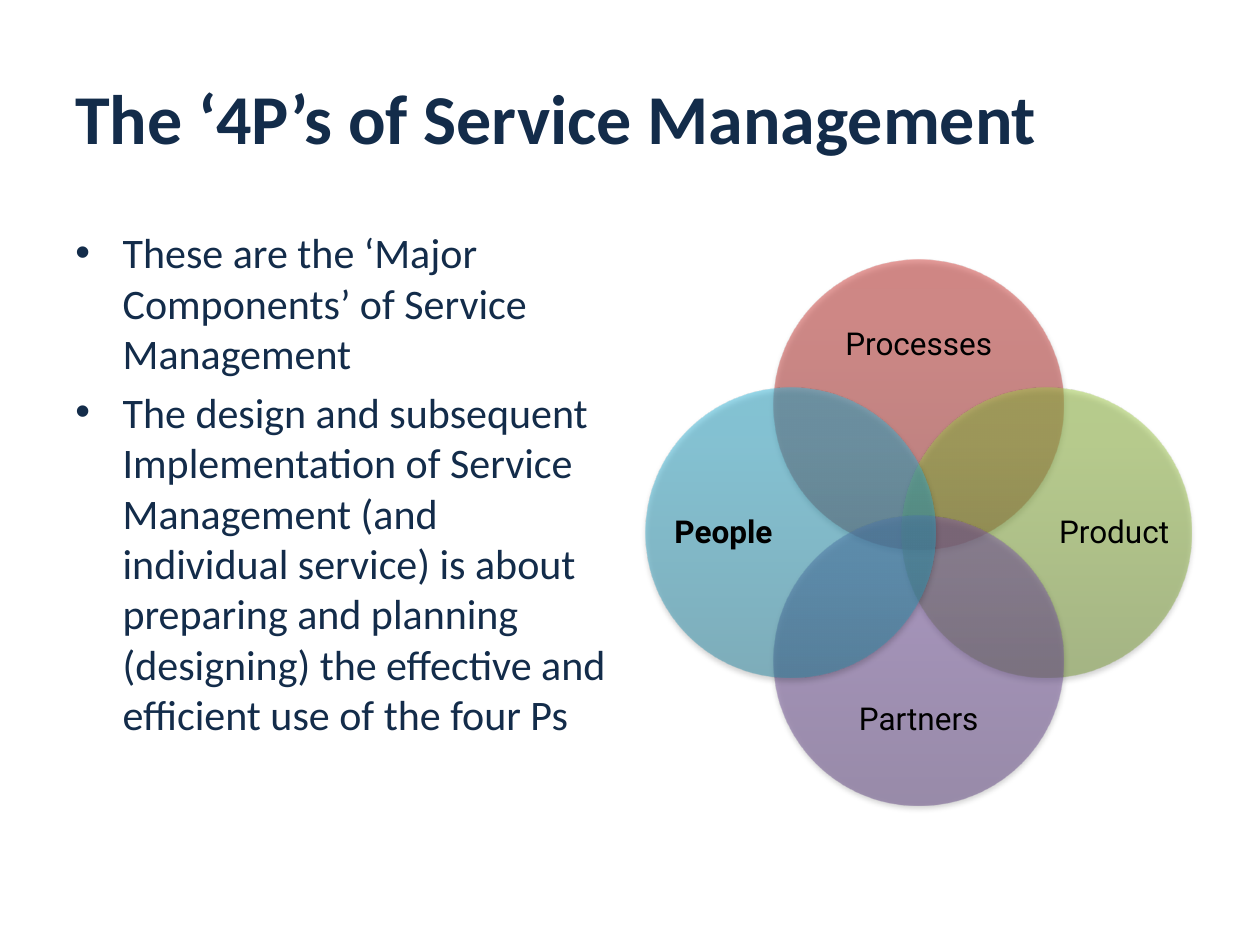
from dataclasses import dataclass

from pptx import Presentation
from pptx.dml.color import RGBColor
from pptx.enum.shapes import MSO_SHAPE as Shape
from pptx.enum.text import MSO_ANCHOR as Anchor, PP_ALIGN as Align
from pptx.oxml import parse_xml
from pptx.oxml.ns import nsdecls
from pptx.util import Pt


@dataclass(frozen=True)
class Theme:
    """Hold the colours, fonts and type sizes of the slide."""
    navy: str = "132C4A"
    black: str = "000000"
    red: tuple = ("9C2F2D", "CB3E3A", "CE3B37")
    green: tuple = ("779737", "9BC348", "9DC746")
    purple: tuple = ("5F4480", "7B58A6", "7C57A8")
    teal: tuple = ("2A88A2", "37B1D2", "34B4D6")
    text_font: str = "Calibri"
    label_font: str = "Roboto"
    title_size: int = 40
    body_size: int = 24
    label_size: int = 18


THEME = Theme()
BULLETS = (
    "These are the ‘Major Components’ of Service Management",
    "The design and subsequent Implementation of Service Management (and "
    "individual service) is about preparing and planning (designing) the "
    "effective and efficient use of the four Ps",
)
CENTER_X, CENTER_Y = 525, 304.5
CIRCLE_SIZE, CIRCLE_OFFSET = 165.6, 73
CIRCLES = (
    ("Processes", THEME.red, 0, -1, False),
    ("Product", THEME.green, 1, 0, False),
    ("Partners", THEME.purple, 0, 1, False),
    ("People", THEME.teal, -1, 0, True),
)


def apply_format(target, values):
    """Set each named attribute on the target."""
    for name, value in values.items():
        setattr(target, name, value)


def add_text(slide, box, lines, font, color, frame_format=None, paragraph_format=None):
    """Add a wrapped text box with one paragraph per line and return its paragraphs."""
    frame = slide.shapes.add_textbox(*map(Pt, box)).text_frame
    apply_format(frame, {"word_wrap": True, **(frame_format or {})})
    frame.text = "\n".join(lines)
    for paragraph in frame.paragraphs:
        apply_format(paragraph, paragraph_format or {})
        for run in paragraph.runs:
            apply_format(run.font, font)
            run.font.color.rgb = RGBColor.from_string(color)
    return frame.paragraphs


def add_title(slide, text):
    """Add the bold slide title."""
    font = {"name": THEME.text_font, "size": Pt(THEME.title_size), "bold": True}
    add_text(slide, (36, 21.6, 648, 90), [text], font, THEME.navy,
             {"vertical_anchor": Anchor.MIDDLE})


def add_bullets(slide, lines):
    """Add the bulleted list with hanging indents."""
    font = {"name": THEME.text_font, "size": Pt(THEME.body_size)}
    paragraphs = add_text(slide, (36, 126, 318, 356.4), lines, font, THEME.navy,
                          paragraph_format={"space_before": Pt(4.8)})
    for paragraph in paragraphs:
        properties = paragraph._p.get_or_add_pPr()
        properties.set("marL", str(Pt(27)))
        properties.set("indent", str(-Pt(27)))
        properties.append(parse_xml(f'<a:buFont {nsdecls("a")} typeface="Arial"/>'))
        properties.append(parse_xml(f'<a:buChar {nsdecls("a")} char="•"/>'))


def add_circle(slide, center_x, center_y, colors):
    """Add a half-transparent gradient circle with a soft shadow."""
    left, top = center_x - CIRCLE_SIZE / 2, center_y - CIRCLE_SIZE / 2
    shape = slide.shapes.add_shape(
        Shape.OVAL, *map(Pt, (left, top, CIRCLE_SIZE, CIRCLE_SIZE)))
    shape.line.fill.background()
    stops = "".join(
        f'<a:gs pos="{position}"><a:srgbClr val="{color}">'
        '<a:alpha val="50000"/></a:srgbClr></a:gs>'
        for position, color in zip((0, 80000, 100000), colors))
    properties = shape._element.spPr
    properties.insert(2, parse_xml(
        f'<a:gradFill {nsdecls("a")} rotWithShape="1"><a:gsLst>{stops}</a:gsLst>'
        '<a:lin ang="16200000" scaled="0"/></a:gradFill>'))
    properties.append(parse_xml(
        f'<a:effectLst {nsdecls("a")}><a:outerShdw blurRad="{Pt(3.1)}" '
        f'dist="{Pt(1.8)}" dir="5400000" rotWithShape="0">'
        f'<a:srgbClr val="{THEME.black}"><a:alpha val="35000"/></a:srgbClr>'
        '</a:outerShdw></a:effectLst>'))


def add_label(slide, text, step_x, step_y, bold):
    """Add a centred label towards the outer side of its circle."""
    width, height = (63.4, 127.4) if step_x else (127.4, 52.6)
    left = CENTER_X + step_x * 111.6 - width / 2
    top = CENTER_Y + step_y * 107.3 - height / 2
    margins = {f"margin_{side}": 0 for side in ("left", "top", "right", "bottom")}
    font = {"name": THEME.label_font, "size": Pt(THEME.label_size), "bold": bold}
    add_text(slide, (left, top, width, height), [text], font, THEME.black,
             {"vertical_anchor": Anchor.MIDDLE, **margins},
             {"alignment": Align.CENTER, "line_spacing": 0.9})


def main():
    """Build and save the slide."""
    presentation = Presentation()
    apply_format(presentation, {"slide_width": Pt(720), "slide_height": Pt(540)})
    slide = presentation.slides.add_slide(presentation.slide_layouts[6])
    add_title(slide, "The ‘4P’s of Service Management")
    add_bullets(slide, BULLETS)
    for text, colors, step_x, step_y, bold in CIRCLES:
        add_circle(slide, CENTER_X + step_x * CIRCLE_OFFSET,
                   CENTER_Y + step_y * CIRCLE_OFFSET, colors)
        add_label(slide, text, step_x, step_y, bold)
    presentation.save("out.pptx")


if __name__ == "__main__":
    main()
